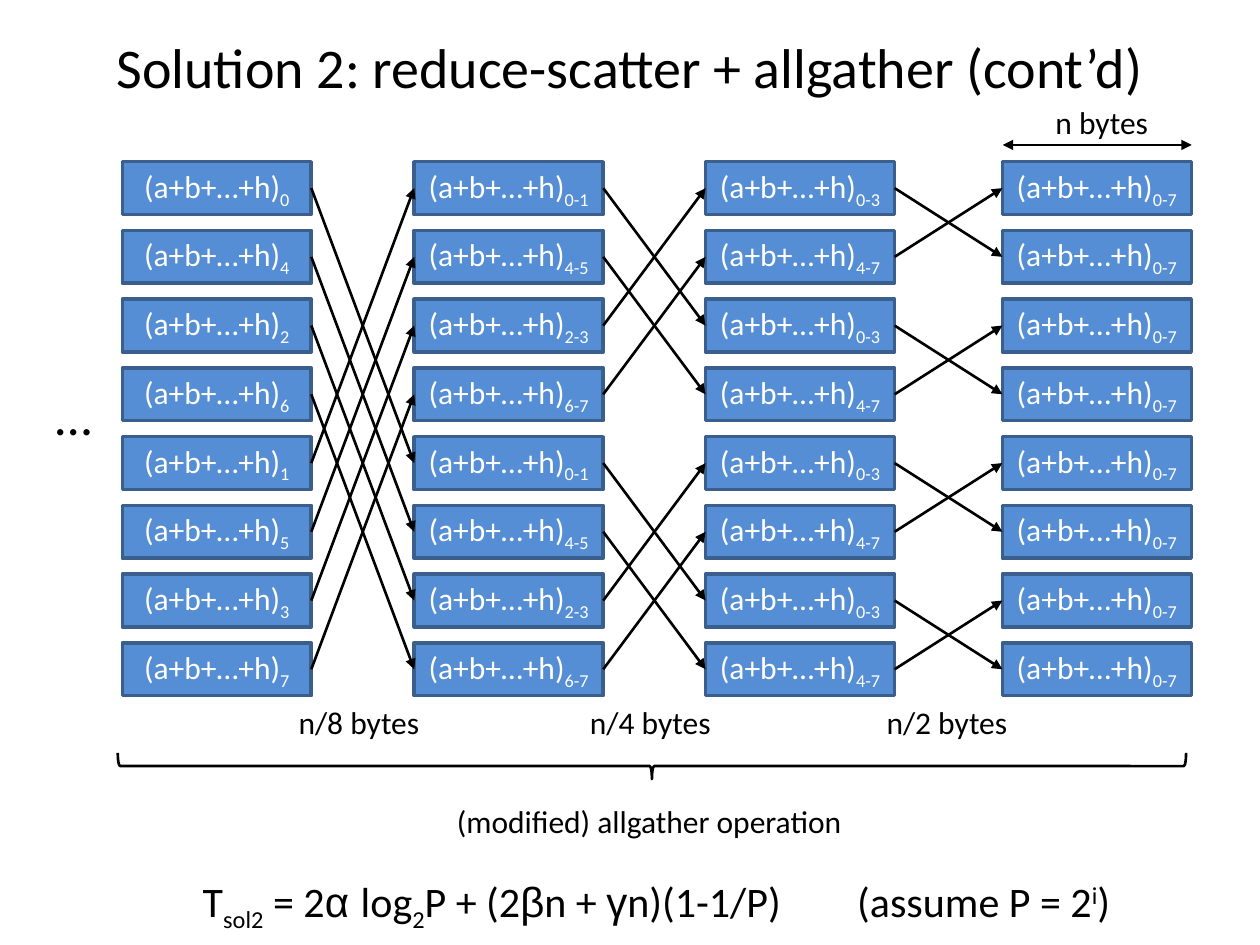
from dataclasses import dataclass

import pptx
import pptx.dml.color
import pptx.enum.shapes
import pptx.enum.text
import pptx.oxml
import pptx.oxml.ns
import pptx.util

Pt = pptx.util.Pt
ALIGN = pptx.enum.text.PP_ALIGN
ANCHOR = pptx.enum.text.MSO_ANCHOR
SHAPE = pptx.enum.shapes.MSO_SHAPE
BLACK, WHITE, BOX_FILL, BOX_EDGE = "000000", "FFFFFF", "558ED5", "3A5F8C"

ROWS = 8
FIRST_TOP, ROW_PITCH = 92.4, 39.28
BOX_WIDTH, BOX_HEIGHT = 108, 30.2
STAGE_LEFTS = [69.9, 236.7, 403.2, 572.8]


@dataclass
class Piece:
    text: str
    baseline: int = 0
    font: str = "Calibri"


@dataclass
class Label:
    text: str
    left: float
    top: float
    width: float
    height: float
    size: float = 18


def rgb(color: str):
    return pptx.dml.color.RGBColor.from_string(color)


def write(frame, pieces, *, size=18, color=BLACK, align=ALIGN.LEFT,
          anchor=ANCHOR.TOP, wrap=False, margin=None):
    """Fill a text frame with one paragraph of a string or pieces."""
    frame.word_wrap = wrap
    frame.vertical_anchor = anchor
    if margin is not None:
        frame.margin_left = frame.margin_right = Pt(margin)
        frame.margin_top = frame.margin_bottom = Pt(margin)
    paragraph = frame.paragraphs[0]
    paragraph.alignment = align
    for piece in [Piece(pieces)] if isinstance(pieces, str) else pieces:
        run = paragraph.add_run()
        run.text = piece.text
        run.font.size = Pt(size)
        run.font.name = piece.font
        run.font.color.rgb = rgb(color)
        if piece.baseline:
            run.font._element.set("baseline", str(piece.baseline * 1000))
    return paragraph


def add_text_box(slide, label: Label, pieces=None, wrap=False):
    box = slide.shapes.add_textbox(Pt(label.left), Pt(label.top),
                                   Pt(label.width), Pt(label.height))
    return write(box.text_frame, pieces or label.text, size=label.size, wrap=wrap)


def add_block(slide, left: float, top: float, blocks: str):
    block = slide.shapes.add_shape(SHAPE.RECTANGLE, Pt(left), Pt(top),
                                   Pt(BOX_WIDTH), Pt(BOX_HEIGHT))
    block.shadow.inherit = False
    block.fill.solid()
    block.fill.fore_color.rgb = rgb(BOX_FILL)
    block.line.color.rgb = rgb(BOX_EDGE)
    block.line.width = Pt(2)
    write(block.text_frame, [Piece("(a+b+…+h)"), Piece(blocks, -25)], color=WHITE,
          align=ALIGN.CENTER, anchor=ANCHOR.MIDDLE, wrap=True, margin=0)


def add_arrow(slide, x1: float, y1: float, x2: float, y2: float, both_ends=False):
    arrow = slide.shapes.add_connector(pptx.enum.shapes.MSO_CONNECTOR.STRAIGHT,
                                       Pt(x1), Pt(y1), Pt(x2), Pt(y2))
    arrow.line.color.rgb = rgb(BLACK)
    arrow.line.width = Pt(1.5)
    qn = pptx.oxml.ns.qn
    for end in ("headEnd", "tailEnd") if both_ends else ("tailEnd",):
        tip = pptx.oxml.parse_xml(f'<a:{end} {pptx.oxml.ns.nsdecls("a")} type="triangle"/>')
        arrow.line._get_or_add_ln().append(tip)
    properties = arrow._element.find(qn("p:spPr"))
    properties.append(properties.makeelement(qn("a:effectLst"), {}))


def row_top(row: int) -> float:
    return FIRST_TOP + row * ROW_PITCH


def row_middle(row: int) -> float:
    return row_top(row) + BOX_HEIGHT / 2


def held_blocks(stage: int, row: int) -> str:
    """Bit-reversed row number, widened to the range gathered so far."""
    own = int(f"{row:03b}"[::-1], 2)
    count = 2 ** stage
    first = own // count * count
    return str(first) if count == 1 else f"{first}-{first + count - 1}"


presentation = pptx.Presentation()
presentation.slide_width, presentation.slide_height = Pt(720), Pt(540)
slide = presentation.slides.add_slide(presentation.slide_layouts[5])

# Title
title = slide.shapes.title
title.left, title.top, title.width, title.height = Pt(36), Pt(12.5), Pt(648), Pt(50)
write(title.text_frame, "Solution 2: reduce-scatter + allgather (cont’d)", size=32,
      align=ALIGN.CENTER, anchor=ANCHOR.MIDDLE, wrap=True)

# Blocks held at every stage
for stage, left in enumerate(STAGE_LEFTS):
    for row in range(ROWS):
        add_block(slide, left, row_top(row), held_blocks(stage, row))

# Exchanges between stages, at distances 4, 2 and 1
for stage, (left, next_left) in enumerate(zip(STAGE_LEFTS, STAGE_LEFTS[1:])):
    distance = ROWS >> (stage + 1)
    for row in range(ROWS):
        add_arrow(slide, left + BOX_WIDTH, row_middle(row),
                  next_left, row_middle(row ^ distance))

# Width of the full message
add_arrow(slide, 573, 82.8, 681, 82.8, both_ends=True)

# Brace under the stages
brace = slide.shapes.add_shape(SHAPE.RIGHT_BRACE, Pt(365), Pt(132.5), Pt(15), Pt(610.5))
brace.rotation = 90
brace.shadow.inherit = False
brace.fill.background()
brace.line.color.rgb = rgb(BLACK)
brace.line.width = Pt(1.5)

# Labels
for label in [
    Label("n bytes", 596, 55.5, 68.5, 29),
    Label("n/8 bytes", 163.5, 398, 84, 29),
    Label("n/4 bytes", 330, 398, 84, 29),
    Label("n/2 bytes", 499.5, 398, 84, 29),
    Label("(modified) allgather operation", 254, 455, 237.5, 29),
    Label("…", 24.5, 215.3, 35.3, 44, 30),
]:
    add_text_box(slide, label)

# Cost formula, with a tab stop before the assumption
formula = add_text_box(slide, Label("", 108.8, 496.8, 540, 36, 24), [
    Piece("T"), Piece("sol2", -25), Piece(" = 2"), Piece("α ", font="Arial"),
    Piece("log"), Piece("2", -25), Piece("P + (2"), Piece("β", font="Arial"),
    Piece("n + "), Piece("γ", font="Arial"), Piece("n)(1-1/P)\t(assume P = 2"),
    Piece("i", 30), Piece(")"),
], wrap=True)
formula._p.get_or_add_pPr().append(pptx.oxml.parse_xml(
    f'<a:tabLst {pptx.oxml.ns.nsdecls("a")}><a:tab pos="{Pt(374)}" algn="l"/></a:tabLst>'))

presentation.save("out.pptx")
